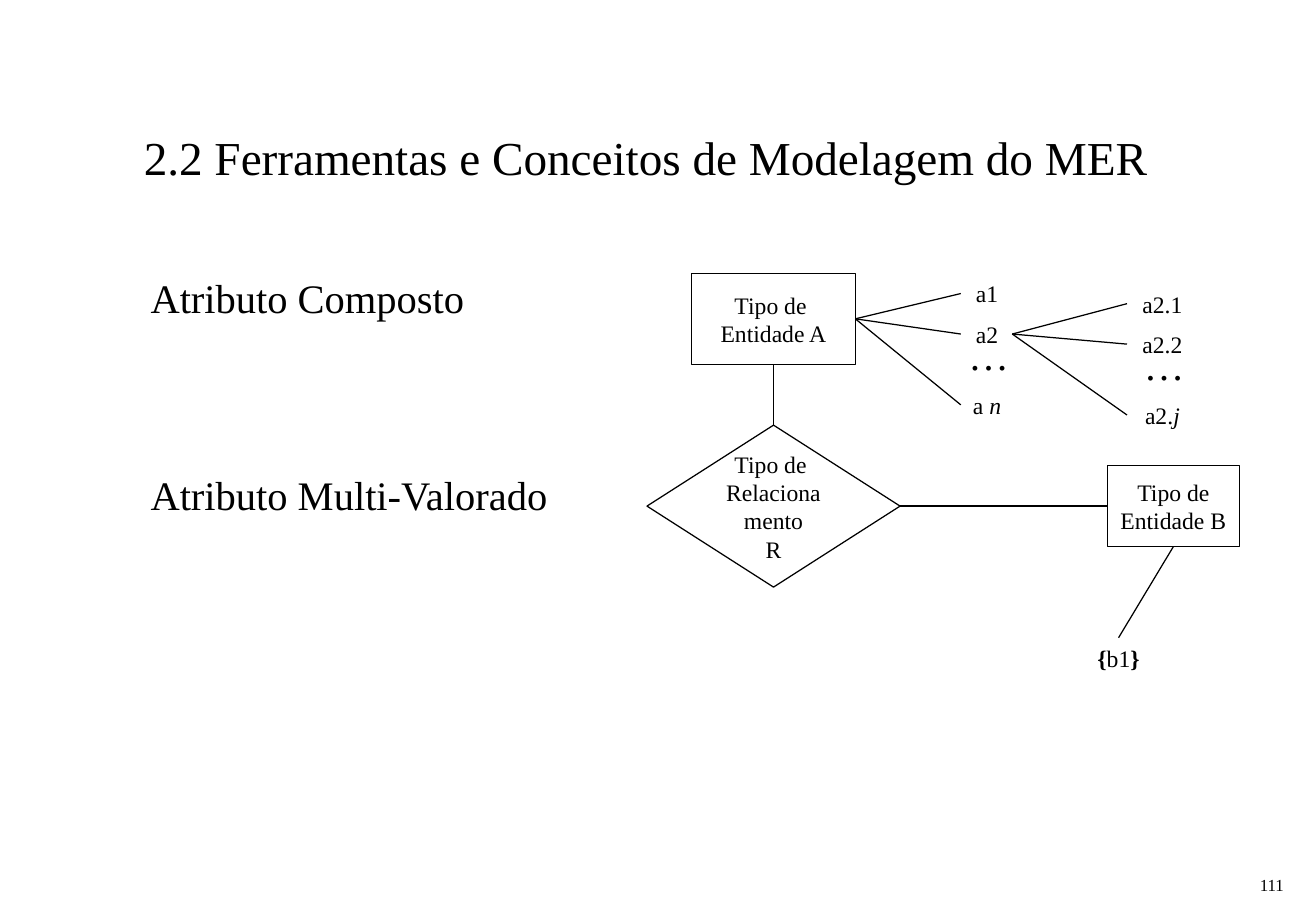
"""Builds a slide on composite and multi-valued attributes in the ER model."""
from lxml import etree
from pptx import Presentation
from pptx.dml.color import RGBColor
from pptx.enum.shapes import MSO_CONNECTOR, MSO_SHAPE
from pptx.enum.text import MSO_ANCHOR, MSO_AUTO_SIZE, PP_ALIGN
from pptx.oxml.ns import qn
from pptx.util import Pt

BLACK = RGBColor(0, 0, 0)
WHITE = RGBColor(255, 255, 255)
STRAIGHT = MSO_CONNECTOR.STRAIGHT
RECT = MSO_SHAPE.RECTANGLE
PROCESS = MSO_SHAPE.FLOWCHART_PROCESS
DIAMOND = MSO_SHAPE.FLOWCHART_DECISION
TOP, MIDDLE, BOTTOM = MSO_ANCHOR.TOP, MSO_ANCHOR.MIDDLE, MSO_ANCHOR.BOTTOM
LEFT, CENTER, RIGHT = PP_ALIGN.LEFT, PP_ALIGN.CENTER, PP_ALIGN.RIGHT
NO_FIT = MSO_AUTO_SIZE.NONE
FONT = "Times New Roman"


def write(shape, lines, size, align=CENTER, anchor=MIDDLE, wrap=True, gap=0):
    frame = shape.text_frame
    look = {"word_wrap": wrap, "auto_size": NO_FIT, "vertical_anchor": anchor,
            "margin_left": Pt(7.2), "margin_right": Pt(7.2),
            "margin_top": Pt(3.6), "margin_bottom": Pt(3.6)}
    for key, value in look.items():
        setattr(frame, key, value)
    for row, runs in enumerate(lines):
        para = frame.add_paragraph() if row else frame.paragraphs[0]
        para.alignment = align
        para.line_spacing = 1.0
        para.space_before = Pt(gap if row else 0)
        for text, style in runs:
            run = para.add_run()
            run.text = text
            face = {"name": FONT, "size": Pt(size), "bold": False, **style}
            for key, value in face.items():
                setattr(run.font, key, value)
            run.font.color.rgb = BLACK


def link(x1, y1, x2, y2):
    line = slide.shapes.add_connector(STRAIGHT, Pt(x1), Pt(y1), Pt(x2), Pt(y2))
    line.line.color.rgb = BLACK
    line.line.width = Pt(0.75)
    etree.SubElement(line.element.spPr, qn("a:effectLst"))


deck = Presentation()
deck.slide_width, deck.slide_height = Pt(780), Pt(540)
slide = deck.slides.add_slide(deck.slide_layouts[1])

title, body = slide.placeholders
places = [(title, 78, 48, 663, 90), (body, 82, 158, 289, 322)]
for holder, left, top, width, height in places:
    sides = {"left": left, "top": top, "width": width, "height": height}
    for key, value in sides.items():
        setattr(holder, key, Pt(value))
write(title, [[("2.2 Ferramentas e Conceitos de Modelagem do MER", {})]], 28, LEFT)
topics = ["Atributo Composto", "Atributo Multi-Valorado"]
write(body, [[(topic, {})] for topic in topics], 24, LEFT, TOP, gap=88)
for para in body.text_frame.paragraphs:
    props = para._p.get_or_add_pPr()
    props.set("marL", "0")
    props.set("indent", "0")
    etree.SubElement(props, qn("a:buNone"))

link(458.5, 216, 458.5, 252)
link(533.5, 300, 656.5, 300)
link(695.5, 324, 663, 378)

nodes = [
    (RECT, 410, 162, 97, 54, ["Tipo de ", "Entidade A"]),
    (DIAMOND, 383.5, 252, 150, 96, ["Tipo de ", "Relacionamento", "R"]),
    (PROCESS, 656.5, 276, 78, 48, ["Tipo de", "Entidade B"]),
]
for kind, left, top, width, height, lines in nodes:
    node = slide.shapes.add_shape(kind, Pt(left), Pt(top), Pt(width), Pt(height))
    node.shadow.inherit = False
    node.fill.solid()
    node.fill.fore_color.rgb = WHITE
    node.line.color.rgb = BLACK
    node.line.width = Pt(0.75)
    write(node, [[(line, {})] for line in lines], 14)

ITALIC, BOLD = {"italic": True}, {"bold": True}
labels = [(663, 390, 14, [("{", BOLD), ("b1", {}), ("}", BOLD)])]
fans = [
    (507, 189, 569.5, 585, 174, ["a1", "a2", "a ", "n"]),
    (600, 198, 668, 689, 180, ["a2.1", "a2.2", "a2.", "j"]),
]
for root, level, tip, mid, top, (first, second, stem, last) in fans:
    rows = [(0, [(first, {})]), (24, [(second, {})]),
            (66, [(stem, {}), (last, ITALIC)])]
    for drop, runs in rows:
        link(root, level, tip, top + drop)
        labels.append((mid, top + drop, 14, runs))
    labels.append((mid + 1, top + 36, 24, [("…", {})]))

for mid, level, size, runs in labels:
    height = size * 1.5 + 3
    label = slide.shapes.add_textbox(
        Pt(mid - 21), Pt(level - height / 2), Pt(42), Pt(height))
    write(label, [runs], size, wrap=False)

number = slide.shapes.add_textbox(Pt(737), Pt(505), Pt(31), Pt(29))
write(number, [[("111", {})]], 10, RIGHT, BOTTOM, wrap=False)

deck.save("out.pptx")
